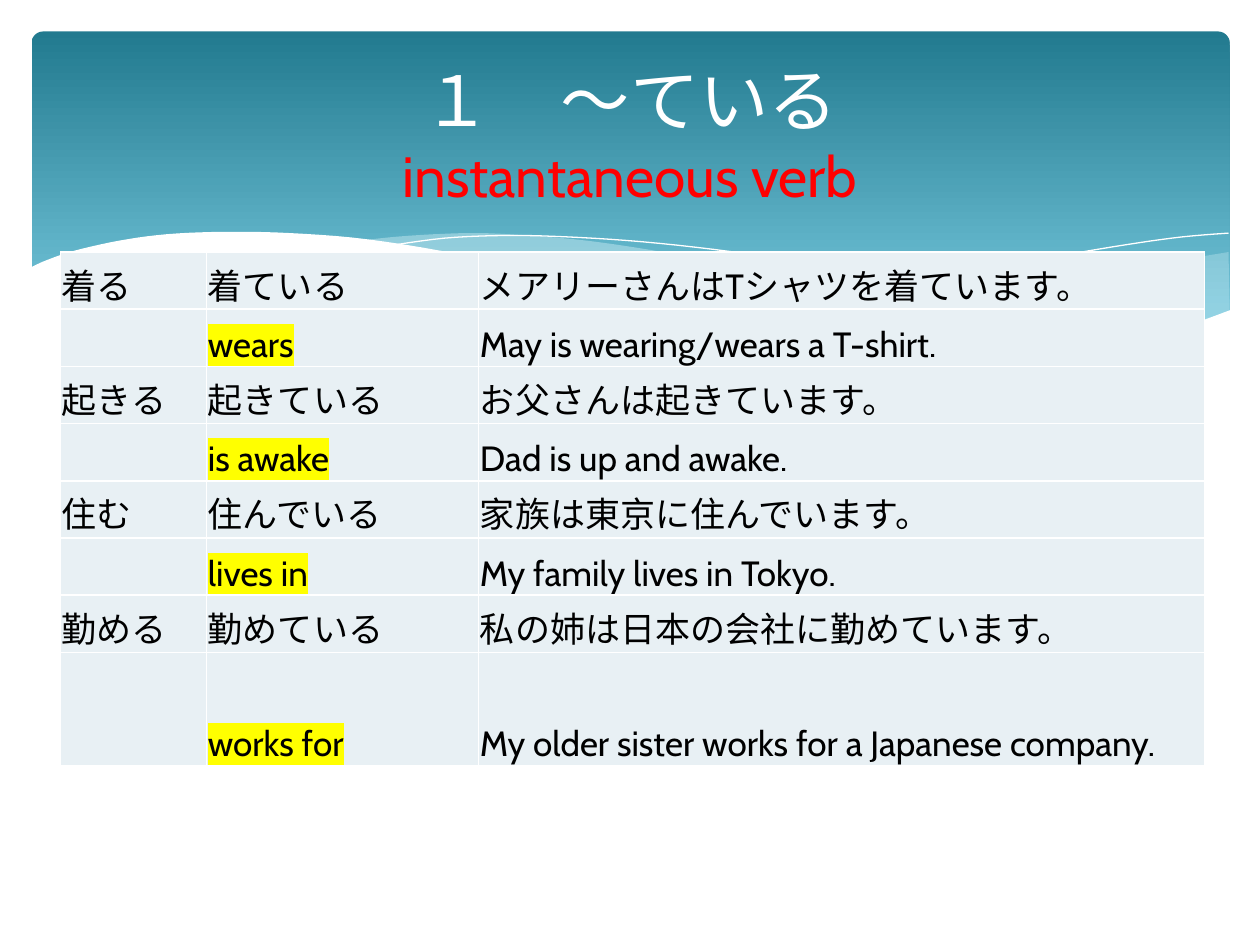
from dataclasses import dataclass
from typing import Optional

from pptx import Presentation
from pptx import util as u
from pptx.dml.color import RGBColor
from pptx.enum import shapes, text
from pptx.oxml import parse_xml
from pptx.oxml.ns import nsdecls, qn

Pt = u.Pt
FONT = "Cabin"
HEX = {"deep": "227A8F", "sky": "7ACBE0", "mist": "DEF5FA", "white": "FFFFFF",
       "cell": "E8F0F4", "ink": "000000", "mark": "FFFF00", "red": "FF0000"}


@dataclass
class Wave:
    curves: list  # smooth edges, joined by straight lines
    fill: Optional[str] = None
    alpha: int = 100


@dataclass
class Verb:
    base: str
    state: str
    line: str
    gloss: str
    sense: str


# Smooth edges of the banner, given by their knots
WAVES = [
    Wave([[(702, 144), (673.2, 149), (641.5, 155.5), (619.9, 160.6), (560.9, 174.2),
           (524.9, 182.2), (475.9, 190.8)],
          [(475.9, 190.8), (507.6, 195.1), (545, 198.7), (578.2, 200.2), (607.7, 199.4),
           (634.3, 196.6), (657.4, 192.2), (683.3, 185), (702.7, 177.8)]], "mist", 29),
    Wave([[(643, 196.6), (602.6, 190.8), (558, 182.9), (508.3, 172.8), (452.9, 159.8),
           (409.7, 149.8), (370.1, 142.6), (334.8, 137.5), (302.4, 134.6), (273.6, 133.2),
           (247.7, 133.9), (225.4, 135.4), (205.9, 137.5)],
          [(205.9, 137.5), (246.2, 143.3), (290.9, 151.9), (323.3, 159.8), (381.6, 172.8),
           (432.7, 183.6), (478.8, 191.5), (519.8, 197.3), (556.6, 199.4), (589, 200.2),
           (617, 199.4), (643, 196.6)]], "mist", 40),
    Wave([[(222.5, 140.4), (254.2, 136.1), (288.7, 134.6), (324, 135.4), (367.2, 138.2),
           (419, 144), (478.8, 153.4), (547.2, 167.8), (598.3, 180.7), (653, 195.8)]]),
    Wave([[(441.4, 185), (483.8, 173.5), (518.4, 164.9), (558.7, 155.5), (601.9, 146.9),
           (644.4, 139.7), (675.4, 135.4), (702, 133.2)]]),
    Wave([[(703.4, 177.1), (676.8, 186.5), (647.3, 193.7), (612, 198), (582.5, 199.4),
           (547.9, 198), (509.8, 194.4), (466.6, 188.6), (416.9, 180), (362.2, 167.8),
           (321.8, 158.4), (262.8, 145.4), (210.2, 136.8), (165.6, 133.2), (127.4, 132.5),
           (95, 133.9), (68.4, 137.5), (42.5, 143.3), (25.9, 149), (16.6, 153.4)],
          [(16.6, 236.9), (703.4, 236.9)]], "white"),
]

VERBS = [
    Verb("着る", "着ている", "メアリーさんはTシャツを着ています。",
         "wears", "May is wearing/wears a T-shirt."),
    Verb("起きる", "起きている", "お父さんは起きています。", "is awake", "Dad is up and awake."),
    Verb("住む", "住んでいる", "家族は東京に住んでいます。", "lives in", "My family lives in Tokyo."),
    Verb("勤める", "勤めている", "私の姉は日本の会社に勤めています。",
         "works for", "My older sister works for a Japanese company."),
]


def tint(name: str) -> RGBColor:
    return RGBColor.from_string(HEX[name])


def style(run, size: float, hue: str) -> None:
    run.font.size = Pt(size)
    run.font.color.rgb = tint(hue)
    run.font.name = FONT


def smooth(knots: list, steps: int = 5) -> list:
    """Catmull-Rom points through the knots."""
    ends = [knots[0], *knots, knots[-1]]
    out = [knots[0]]
    for a, b, c, d in zip(ends, ends[1:], ends[2:], ends[3:]):
        for t in (i / steps for i in range(1, steps + 1)):
            out.append(tuple(
                (2 * q + (r - p) * t + (2 * p - 5 * q + 4 * r - s) * t ** 2
                 + (3 * q - p - 3 * r + s) * t ** 3) / 2
                for p, q, r, s in zip(a, b, c, d)))
    return out


def draw_wave(slide, wave: Wave) -> None:
    dots = [(Pt(x), Pt(y)) for curve in wave.curves
            for x, y in (smooth(curve) if len(curve) > 2 else curve)]
    pen = slide.shapes.build_freeform(*dots[0])
    pen.add_line_segments(dots[1:], close=wave.fill is not None)
    form = pen.convert_to_shape()
    form.shadow.inherit = False
    if wave.fill is None:
        form.fill.background()
        form.line.color.rgb = tint("white")
        form.line.width = Pt(0)
        return
    form.line.fill.background()
    form.fill.solid()
    form.fill.fore_color.rgb = tint(wave.fill)
    if wave.alpha < 100:
        rgb = form._element.spPr.find(qn("a:solidFill"))[0]
        rgb.append(parse_xml(f'<a:alpha {nsdecls("a")} val="{wave.alpha * 1000}"/>'))


def draw_band(slide) -> None:
    band = slide.shapes.add_shape(shapes.MSO_SHAPE.ROUNDED_RECTANGLE,
                                  Pt(18), Pt(18), Pt(684.7), Pt(194.4))
    band.adjustments[0] = 0.034
    band.shadow.inherit = False
    band.line.fill.background()
    band.fill.gradient()
    band.fill.gradient_angle = 270
    for stop, hue, pos in zip(band.fill.gradient_stops, ("deep", "sky"), (0, 0.9)):
        stop.color.rgb = tint(hue)
        stop.position = pos


def fill_cell(cell, words: str, mark: bool) -> None:
    cell.margin_left = cell.margin_right = cell.margin_top = Pt(0.72)
    cell.margin_bottom = 0
    cell.vertical_anchor = text.MSO_ANCHOR.BOTTOM
    props = cell._tc.get_or_add_tcPr()
    for side in "LRTB":
        props.append(parse_xml(
            f'<a:ln{side} {nsdecls("a")} w="{Pt(1)}"><a:solidFill>'
            f'<a:srgbClr val="{HEX["white"]}"/></a:solidFill></a:ln{side}>'))
    cell.fill.solid()
    cell.fill.fore_color.rgb = tint("cell")
    cell.text_frame.text = words
    for run in cell.text_frame.paragraphs[0].runs:
        style(run, 20, "ink")
        if mark:
            run._r.rPr.find(qn("a:solidFill")).addnext(parse_xml(
                f'<a:highlight {nsdecls("a")}><a:srgbClr val="{HEX["mark"]}"/></a:highlight>'))


def draw_table(slide, verbs: list) -> None:
    rows = [row for v in verbs for row in ((v.base, v.state, v.line), ("", v.gloss, v.sense))]
    wide = (83.5, 155.5, 414.7)
    tall = [32.7] * (len(rows) - 1) + [64.8]
    grid = slide.shapes.add_table(len(rows), len(wide), Pt(34.6), Pt(144),
                                  Pt(sum(wide)), Pt(sum(tall))).table
    grid.first_row = grid.horz_banding = False
    for col, size in zip(grid.columns, wide):
        col.width = Pt(size)
    for i, (row, size) in enumerate(zip(rows, tall)):
        grid.rows[i].height = Pt(size)
        for j, words in enumerate(row):
            fill_cell(grid.cell(i, j), words, mark=i % 2 == 1 and j == 1)


def draw_title(slide) -> None:
    title = slide.shapes.title
    title.left, title.top, title.width, title.height = Pt(36), Pt(26.6), Pt(648), Pt(98.6)
    frame = title.text_frame
    frame.auto_size = text.MSO_AUTO_SIZE.NONE
    frame.vertical_anchor = text.MSO_ANCHOR.MIDDLE
    para = frame.paragraphs[0]
    para.text = "１　～ている\vinstantaneous verb"
    para.alignment = text.PP_ALIGN.CENTER
    for run, size, hue in zip(para.runs, (39.6, 32.4), ("white", "red")):
        style(run, size, hue)
    slide.shapes._spTree.append(title._element)  # in front of the banner


def main() -> None:
    deck = Presentation()
    deck.slide_width, deck.slide_height = Pt(720), Pt(540)
    slide = deck.slides.add_slide(deck.slide_layouts[5])
    # Banner
    draw_band(slide)
    for wave in WAVES:
        draw_wave(slide, wave)
    # Content
    draw_table(slide, VERBS)
    draw_title(slide)
    deck.save("out.pptx")


if __name__ == "__main__":
    main()
